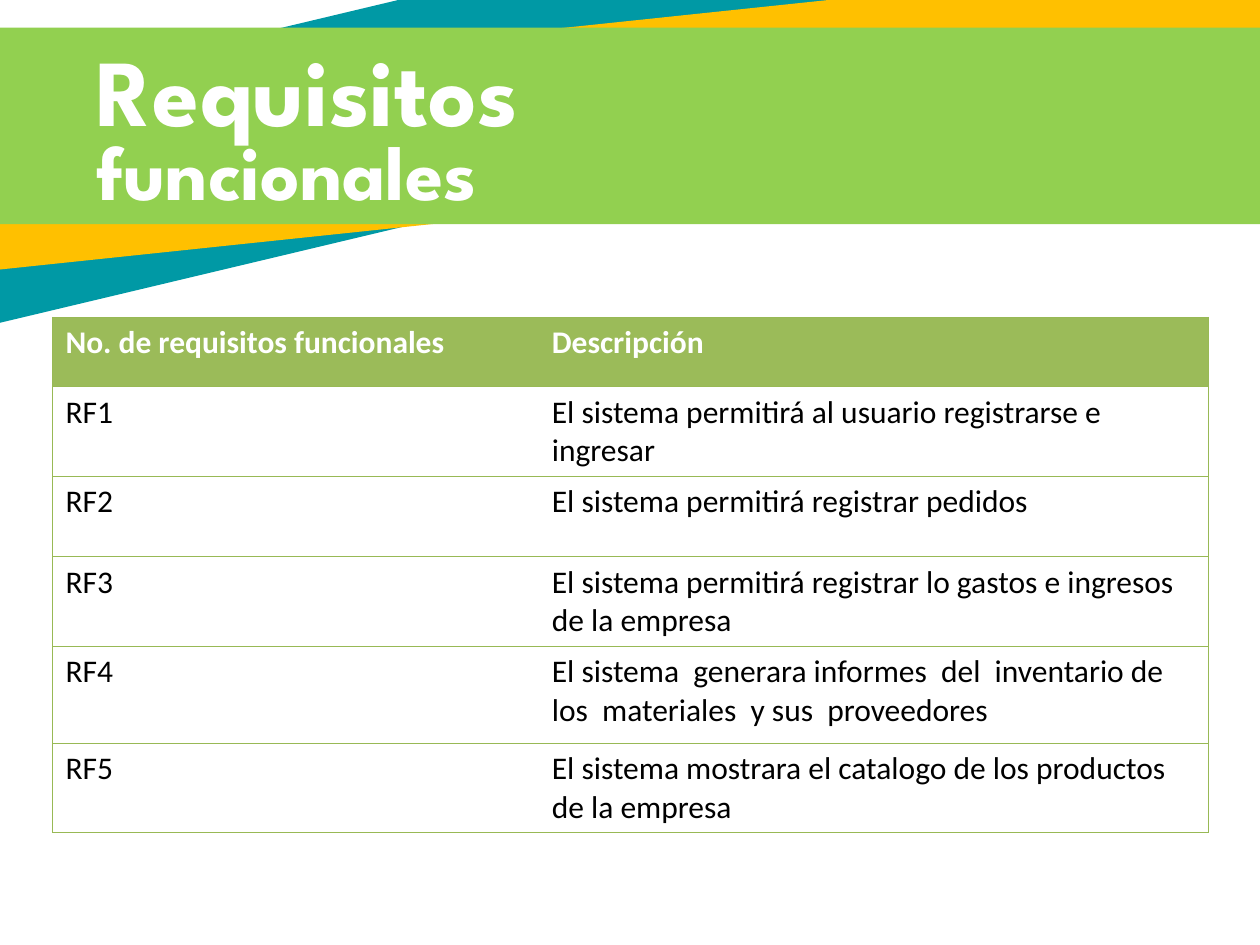
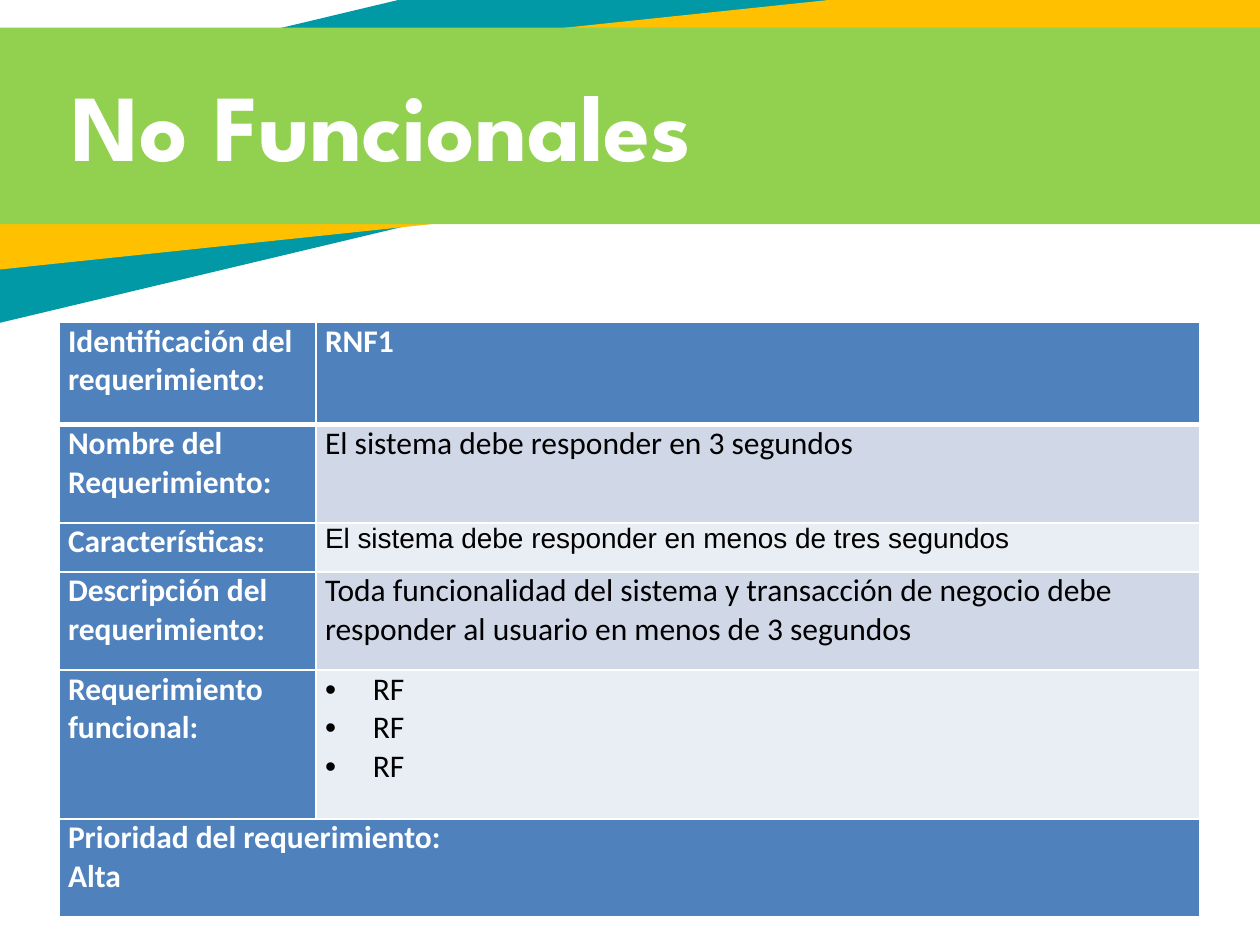
from lxml import etree
from pptx import Presentation
from pptx.dml.color import RGBColor
from pptx.enum import shapes, text
from pptx.oxml.ns import qn
from pptx.util import Inches, Pt

# Shared look
WHITE, BLACK = "FFFFFF", "000000"
TEAL, AMBER, GREEN = "0099A5", "FFC000", "92D050"
OLIVE, OLIVE_LINE = "9BBB59", "98B955"
BLUE, BLUE_BANDS = "4F81BD", ("D0D8E8", "E9EDF4")
BANDS = [  # left, top, width, height, rotation, colour
    (-2.51, -0.18, 13.06, 1.76, 346.6, TEAL),
    (-1.1, 0.2, 11.63, 1.44, 354, AMBER),
    (-1.06, 0.22, 11.63, 1.56, 0, GREEN),
]
BODY = {"name": "Calibri", "size": Pt(18), "bold": False}
HEAD = {**BODY, "bold": True}
ARIAL = {**BODY, "name": "Arial", "size": Pt(16)}

# Slide contents
FUNCTIONAL = [
    ("No. de requisitos funcionales", "Descripción"),
    ("RF1", "El sistema permitirá al usuario registrarse e ingresar"),
    ("RF2", "El sistema permitirá registrar pedidos"),
    ("RF3", "El sistema permitirá registrar lo gastos e ingresos de la empresa"),
    ("RF4", "El sistema  generara informes  del  inventario de los  materiales  y sus  proveedores"),
    ("RF5", "El sistema mostrara el catalogo de los productos de la empresa"),
]
NON_FUNCTIONAL = [
    ("Identificación del requerimiento:", "RNF1"),
    ("Nombre del Requerimiento:", "El sistema debe responder en 3 segundos"),
    ("Características:", "El sistema debe responder en menos de tres segundos"),
    ("Descripción del requerimiento:",
     "Toda funcionalidad del sistema y transacción de negocio debe "
     "responder al usuario en menos de 3 segundos"),
    ("Requerimiento funcional:", "RF\nRF\nRF"),
    ("Prioridad del requerimiento:\nAlta", ""),
]


def rgb(code):
    return RGBColor.from_string(code)


def write(p, content, style, color):
    r = p.add_run()
    r.text = content
    for name, value in style.items():
        setattr(r.font, name, value)
    r.font.color.rgb = rgb(color)


def add_bands(s):
    for left, top, width, height, rotation, color in BANDS:
        sp = s.shapes.add_shape(shapes.MSO_SHAPE.RECTANGLE, Inches(left), Inches(top),
                                Inches(width), Inches(height))
        sp.rotation = rotation
        sp.shadow.inherit = False
        sp.fill.solid()
        sp.fill.fore_color.rgb = rgb(color)
        sp.line.fill.background()


def add_title(s, content, left, top, width, height, size=54):
    tf = s.shapes.add_textbox(Inches(left), Inches(top), Inches(width), Inches(height)).text_frame
    tf.word_wrap = True
    tf.vertical_anchor = text.MSO_ANCHOR.MIDDLE
    style = {"name": "League Spartan", "size": Pt(size), "bold": True}
    write(tf.paragraphs[0], content, style, WHITE)


def add_grid(s, left, top, widths, heights):
    table = s.shapes.add_table(len(heights), len(widths), Inches(left), Inches(top),
                               Inches(sum(widths)), Inches(sum(heights))).table
    table.first_row = table.horz_banding = False
    for column, width in zip(table.columns, widths):
        column.width = Inches(width)
    for row, height in zip(table.rows, heights):
        row.height = Inches(height)
    return table


def fill_cell(cell, content, style, color, fill=None):
    if fill:
        cell.fill.solid()
        cell.fill.fore_color.rgb = rgb(fill)
    else:
        cell.fill.background()
    tf = cell.text_frame
    for i, line in enumerate(content.split("\n")):
        p = tf.add_paragraph() if i else tf.paragraphs[0]
        write(p, line, style, color)


def set_borders(cell, color, **widths):
    """Draw the sides L, R, T and B in points; a width of 0 hides the side."""
    tc_pr = cell._tc.get_or_add_tcPr()
    for i, side in enumerate("LRTB"):
        ln = etree.Element(qn(f"a:ln{side}"), w=str(Pt(widths[side])))
        if widths[side]:
            solid = etree.SubElement(ln, qn("a:solidFill"))
            etree.SubElement(solid, qn("a:srgbClr"), val=color)
        else:
            etree.SubElement(ln, qn("a:noFill"))
        tc_pr.insert(i, ln)


def add_bullet(p, indent):
    p_pr = p._p.get_or_add_pPr()
    p_pr.set("marL", str(Inches(indent)))
    p_pr.set("indent", str(-Inches(indent)))
    etree.SubElement(p_pr, qn("a:buFont"), typeface="Arial")
    etree.SubElement(p_pr, qn("a:buChar"), char="•")


def add_functional_table(s):
    table = add_grid(s, 0.42, 2.52, [3.86, 5.31], [0.55, 0.71, 0.64, 0.71, 0.77, 0.71])
    for i, row in enumerate(FUNCTIONAL):
        look = (BODY, BLACK) if i else (HEAD, WHITE, OLIVE)
        for j, content in enumerate(row):
            cell = table.cell(i, j)
            fill_cell(cell, content, *look)
            set_borders(cell, OLIVE_LINE, L=0 if j else 0.75, R=0.75 if j else 0, T=0.75, B=0.75)


def add_non_functional_table(s):
    table = add_grid(s, 0.47, 2.56, [2.04, 7.01], [0.81, 0.78, 0.39, 0.78, 1.18, 0.78])
    last = len(NON_FUNCTIONAL) - 1
    table.cell(last, 0).merge(table.cell(last, 1))
    for i, row in enumerate(NON_FUNCTIONAL):
        for j, content in enumerate(row):
            cell = table.cell(i, j)
            for name, value in {"left": 0.07, "right": 0.07, "top": 0, "bottom": 0}.items():
                setattr(cell, f"margin_{name}", Inches(value))
            if j == 0 or i in (0, last):
                look = (HEAD, WHITE, BLUE)
            else:
                look = (ARIAL if i == 2 else BODY, BLACK, BLUE_BANDS[(i - 1) % 2])
            if not cell.is_spanned:
                fill_cell(cell, content, *look)
            set_borders(cell, WHITE, L=1, R=1, T=3 if i == 1 else 1, B=1 if i else 3)
    table.cell(2, 1).text_frame.paragraphs[0].alignment = text.PP_ALIGN.JUSTIFY
    for p in table.cell(4, 1).text_frame.paragraphs:
        add_bullet(p, 0.38)


def main():
    prs = Presentation()
    prs.slide_width, prs.slide_height = Inches(10), Inches(7.5)
    functional, non_functional = [prs.slides.add_slide(prs.slide_layouts[6]) for _ in range(2)]

    # Functional requirements
    add_bands(functional)
    add_title(functional, "Requisitos", 0.67, 0.29, 4.16, 0.82)
    add_title(functional, "funcionales", 0.67, 1.11, 3.94, 0.48, size=44)
    add_functional_table(functional)

    # Non-functional requirements
    add_bands(non_functional)
    add_title(non_functional, "No Funcionales", 0.47, 0.35, 9.73, 1.26)
    add_non_functional_table(non_functional)

    prs.save("out.pptx")


if __name__ == "__main__":
    main()
